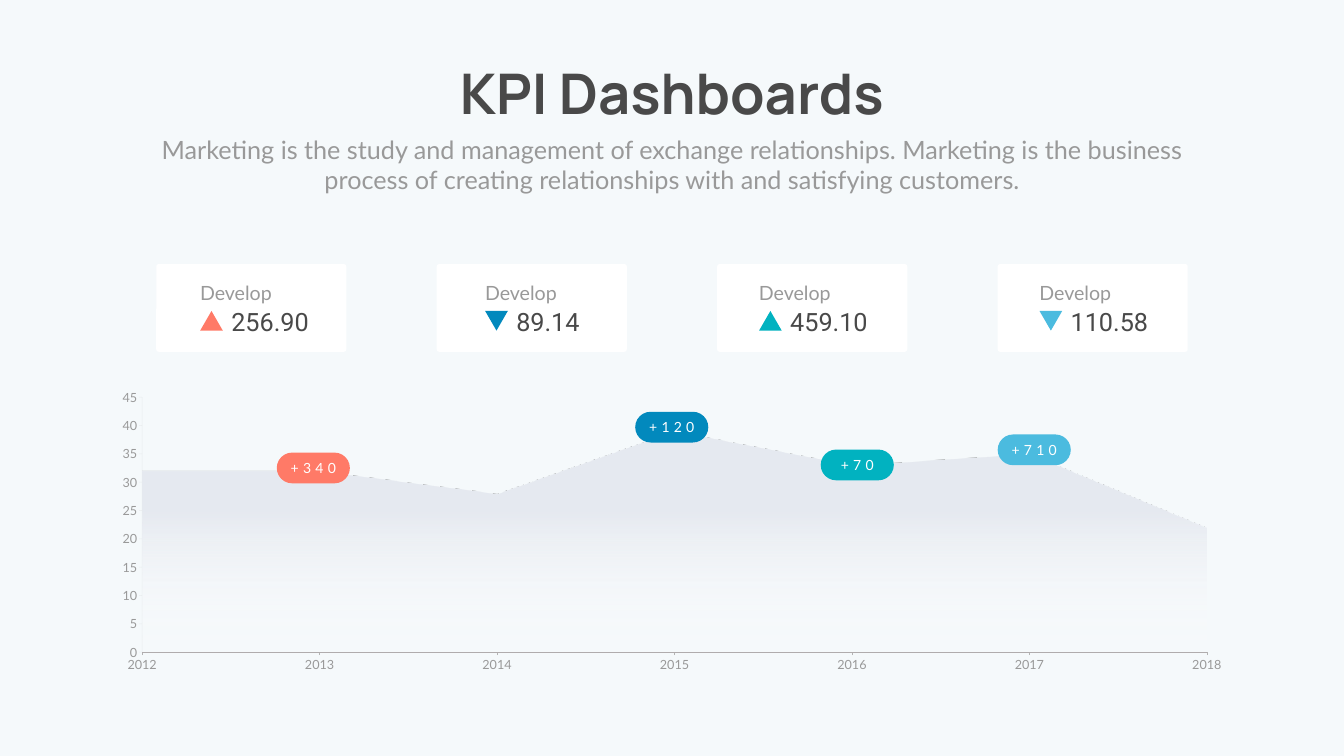
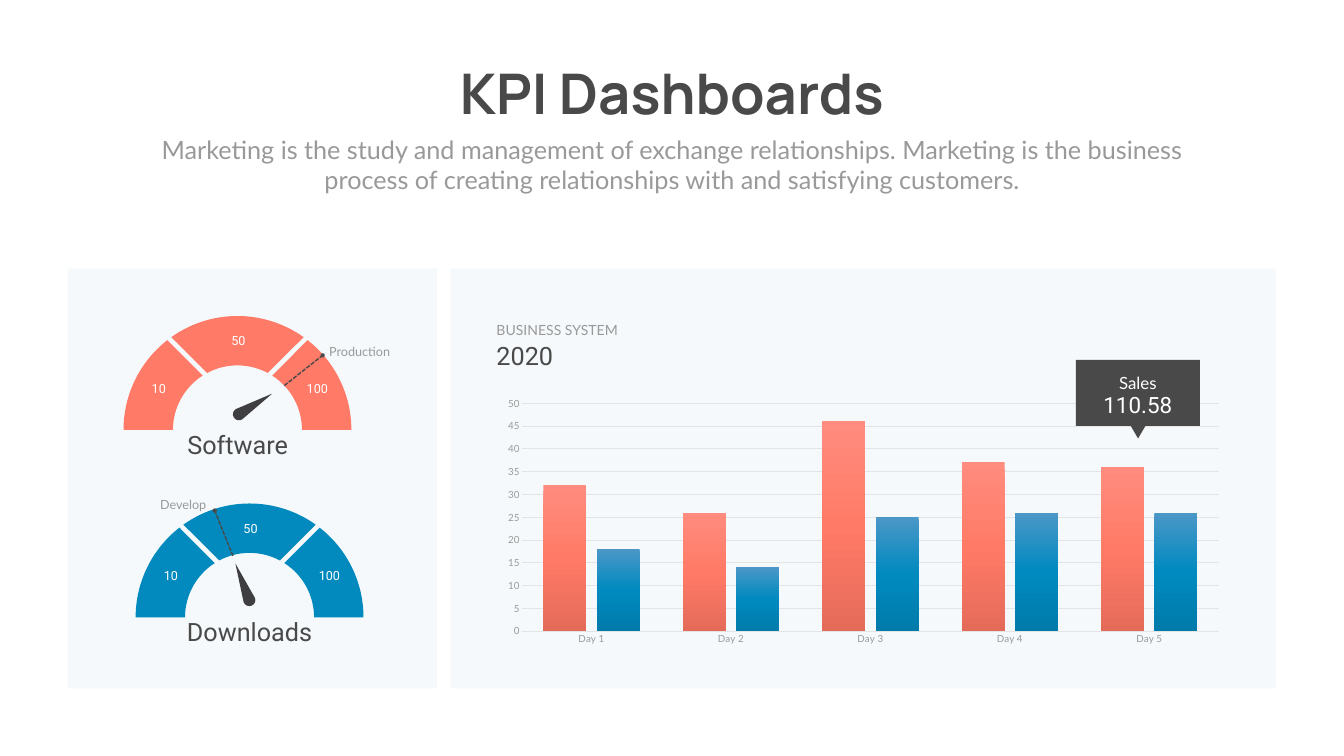
from math import cos, radians, sin, tan

from lxml import etree
from pptx import Presentation
from pptx.chart.data import CategoryChartData
from pptx.dml.color import RGBColor
from pptx.enum.chart import XL_CHART_TYPE, XL_TICK_MARK
from pptx.enum.dml import MSO_LINE
from pptx.enum.shapes import MSO_CONNECTOR, MSO_SHAPE
from pptx.enum.text import MSO_AUTO_SIZE, PP_ALIGN
from pptx.oxml import parse_xml
from pptx.oxml.ns import nsdecls, qn
from pptx.util import Inches, Pt

DARK = RGBColor(0x49, 0x49, 0x49)
NEEDLE = RGBColor(0x3F, 0x3E, 0x40)
GREY = RGBColor(0x99, 0x99, 0x99)
AXIS = RGBColor(0x80, 0x80, 0x80)
BASELINE = RGBColor(0xB3, 0xB3, 0xB3)
GRID = RGBColor(0xE4, 0xE4, 0xE4)
PALE = RGBColor(0xF5, 0xF9, 0xFB)
WHITE = RGBColor(0xFF, 0xFF, 0xFF)
CORAL = RGBColor(0xFF, 0x7A, 0x67)
BLUE = RGBColor(0x02, 0x89, 0xBD)
TEAL = RGBColor(0x01, 0xB2, 0xC0)
SKY = RGBColor(0x4B, 0xBB, 0xDF)

LEFT, CENTER, RIGHT = PP_ALIGN.LEFT, PP_ALIGN.CENTER, PP_ALIGN.RIGHT
RECT, ROUND, TRIANGLE = MSO_SHAPE.RECTANGLE, MSO_SHAPE.ROUNDED_RECTANGLE, MSO_SHAPE.ISOSCELES_TRIANGLE
AREA, COLUMN = XL_CHART_TYPE.AREA, XL_CHART_TYPE.COLUMN_CLUSTERED
OUTSIDE, NO_TICK = XL_TICK_MARK.OUTSIDE, XL_TICK_MARK.NONE
FIT, STRAIGHT, DASH = MSO_AUTO_SIZE.SHAPE_TO_FIT_TEXT, MSO_CONNECTOR.STRAIGHT, MSO_LINE.SQUARE_DOT

TITLE = {"name": "Manrope", "size": Pt(80), "bold": True, "color": DARK}
LEAD = {"name": "Lato", "size": Pt(36), "color": GREY}
FIGURE = {"name": "Roboto", "size": Pt(36), "color": DARK}
CAPTION = {"name": "Lato", "size": Pt(28), "color": GREY}
SMALL = CAPTION | {"size": Pt(20)}
NOTE = CAPTION | {"size": Pt(18)}
AXIS_TEXT = CAPTION | {"size": Pt(14)}
PILL = {"name": "Lato", "size": Pt(20), "color": WHITE}
CALLOUT = PILL | {"size": Pt(24)}
CALLOUT_FIGURE = {"name": "Roboto", "size": Pt(32), "color": WHITE}
GAUGE_MARK = CALLOUT_FIGURE | {"size": Pt(18)}
TALL_LINE = Pt(40.8)


def assign(target, values):
    """Set each named value on the target."""
    for name, value in values.items():
        setattr(target, name, value)


def style_font(font, style):
    """Apply a text style to a font."""
    assign(font, {name: value for name, value in style.items() if name != "color"})
    font.color.rgb = style["color"]


def polar(centre, radius, angle):
    """Return the point at an angle in degrees, counted upwards."""
    return (centre[0] + radius * cos(radians(angle)), centre[1] - radius * sin(radians(angle)))


def curve(centre, radius, start, end):
    """Return the two controls and the end of a circular curve."""
    reach = 4 / 3 * tan(radians(end - start) / 4) * radius
    first, last = polar(centre, radius, start), polar(centre, radius, end)
    leave, arrive = polar((0, 0), reach, start + 90), polar((0, 0), reach, end - 90)
    return [(first[0] + leave[0], first[1] + leave[1]), (last[0] + arrive[0], last[1] + arrive[1]), last]


class Deck:
    """Hold the presentation, its shared style and the current slide."""

    def __init__(self):
        """Start a wide presentation."""
        self.deck = Presentation()
        assign(self.deck, {"slide_width": Inches(26.66), "slide_height": Inches(15)})
        self.slide = None

    def new_slide(self):
        """Add a blank slide and make it current."""
        self.slide = self.deck.slides.add_slide(self.deck.slide_layouts[6])

    def paint(self, shape, color):
        """Give a shape a flat fill without line or shadow."""
        shape.fill.solid()
        shape.fill.fore_color.rgb = color
        shape.line.fill.background()
        shape.shadow.inherit = False

    def shape(self, kind, box, color, corner=None, rotation=0):
        """Draw a preset shape."""
        shape = self.slide.shapes.add_shape(kind, *map(Inches, box))
        self.paint(shape, color)
        shape.rotation = rotation
        if corner is not None:
            shape.adjustments[0] = corner

    def outline(self, start, steps, color, rotation=0):
        """Draw a closed outline of lines (one point) and curves (three points)."""
        builder = self.slide.shapes.build_freeform(*map(Inches, start), scale=1.0)
        builder.add_line_segments([(Inches(x), Inches(y)) for step in steps for x, y in step])
        shape = builder.convert_to_shape()
        segments = iter(list(shape._element.iter(qn("a:lnTo"))))
        for step in steps:
            parts = [next(segments) for _ in step]
            if len(parts) == 3:
                bend = etree.Element(qn("a:cubicBezTo"))
                parts[0].addprevious(bend)
                for part in parts:
                    bend.append(part[0])
                    part.getparent().remove(part)
        self.paint(shape, color)
        shape.rotation = rotation

    def text(self, words, box, style, align=LEFT, spacing=None, wrap=True, tracking=None):
        """Place one paragraph of text."""
        frame = self.slide.shapes.add_textbox(*map(Inches, box)).text_frame
        assign(frame, {"word_wrap": wrap, "auto_size": FIT})
        paragraph = frame.paragraphs[0]
        assign(paragraph, {"alignment": align, "line_spacing": spacing})
        run = paragraph.add_run()
        run.text = words
        style_font(run.font, style)
        if tracking:
            run._r.get_or_add_rPr().set("spc", str(tracking * 100))

    def pointer(self, start, end):
        """Draw a dashed line with a round end."""
        line = self.slide.shapes.add_connector(STRAIGHT, *map(Inches, start + end))
        line.line.color.rgb = DARK
        assign(line.line, {"width": Pt(2), "dash_style": DASH})
        properties = line._element.spPr
        etree.SubElement(properties.find(qn("a:ln")), qn("a:tailEnd"), type="oval")
        etree.SubElement(properties, qn("a:effectLst"))

    def heading(self):
        """Place the shared title and lead text."""
        self.text("KPI Dashboards", (8.67, 1.12, 9.32, 1.45), TITLE, CENTER, wrap=False)
        self.text("Marketing is the study and management of exchange relationships. "
                  "Marketing is the business process of creating relationships with "
                  "and satisfying customers.", (2.92, 2.61, 20.82, 1.31), LEAD, CENTER)

    def chart(self, kind, box, categories, rows, style, top, tick, plot):
        """Add a chart with a fixed scale and a plot area given on the slide."""
        data = CategoryChartData()
        data.categories = categories
        for number, values in enumerate(rows, 1):
            data.add_series(f"Series {number}", values)
        chart = self.slide.shapes.add_chart(kind, *map(Inches, box), data).chart
        assign(chart, {"has_legend": False, "has_title": False})
        style_font(chart.font, style)
        assign(chart.value_axis, {"minimum_scale": 0, "maximum_scale": top, "major_unit": 5,
                                  "has_major_gridlines": False})
        for axis in (chart.category_axis, chart.value_axis):
            assign(axis, {"major_tick_mark": tick, "minor_tick_mark": NO_TICK})
            style_font(axis.tick_labels.font, style)
        area = chart._chartSpace.chart.plotArea
        for old in area.findall(qn("c:layout")):
            area.remove(old)
        left, upper, width, height = box
        shares = ((plot[0] - left) / width, (plot[1] - upper) / height, plot[2] / width, plot[3] / height)
        sizes = "".join(f'<c:{name} val="{share:.4f}"/>' for name, share in zip("xywh", shares))
        area.insert(0, parse_xml(
            f'<c:layout {nsdecls("c")}><c:manualLayout><c:layoutTarget val="inner"/>'
            f'<c:xMode val="edge"/><c:yMode val="edge"/>{sizes}</c:manualLayout></c:layout>'))
        return chart

    def rule(self, line, color):
        """Style a thin chart line."""
        line.color.rgb = color
        line.width = Pt(0.75)

    def gradient(self, series, stops):
        """Fill a series downwards with (position, colour, opacity) stops."""
        fill = series.format.fill
        fill.gradient()
        fill.gradient_angle = 270
        stop_list = series._element.find(".//" + qn("a:gsLst"))
        for old in list(stop_list):
            stop_list.remove(old)
        for position, color, opacity in stops:
            stop = etree.SubElement(stop_list, qn("a:gs"), pos=str(position * 1000))
            tint = etree.SubElement(stop, qn("a:srgbClr"), val=color)
            if opacity < 100:
                etree.SubElement(tint, qn("a:alpha"), val=str(opacity * 1000))

    def card(self, left, indent, value, color, rising):
        """Draw one indicator card."""
        inner = left + indent
        self.shape(ROUND, (left, 5.24, 3.77, 1.74), WHITE, 0.028)
        self.shape(TRIANGLE, (inner + 0.1, 6.17, 0.45, 0.39), color, rotation=0 if rising else 180)
        self.text("Develop", (inner, 5.42, 2.04, 0.62), CAPTION, spacing=TALL_LINE)
        self.text(value, (inner + 0.62, 6.03, 2.04, 0.71), FIGURE)

    def pill(self, left, top, change, color):
        """Draw one change marker."""
        self.shape(ROUND, (left, top, 1.45, 0.61), color, 0.5)
        width = 0.19 + 0.25 * len(change)
        self.text(change, (left + (1.45 - width) / 2, top + 0.09, width, 0.44), PILL, CENTER,
                  wrap=False, tracking=6)

    def needle(self, x, y, rotation):
        """Draw a needle centred at x, y."""
        hub = (x - 0.27, y + 0.14)
        self.outline((x + 0.39, y - 0.27), [[polar(hub, 0.12, 122)], curve(hub, 0.12, 122, 212),
                                            curve(hub, 0.12, 212, 302)], NEEDLE, rotation)

    def gauge(self, x, y, color, needle, pointer):
        """Draw a three-part gauge centred at x, y with its needle."""
        centre = (x, y)
        for outer, inner in (((180, 128), (122.6, 180)), ((52, 0), (0, 57.4)),
                             ((125.5, 90, 54.5), (62, 118))):
            steps = [curve(centre, 2.26, *span) for span in zip(outer, outer[1:])]
            steps += [[polar(centre, 1.28, inner[0])], curve(centre, 1.28, *inner)]
            self.outline(polar(centre, 2.26, outer[0]), steps, color)
        self.needle(*needle)
        self.pointer(*pointer)
        for mark, dx, dy, width in (("10", -1.85, -1.03, 0.58), ("50", -0.27, -1.97, 0.58),
                                    ("100", 1.1, -1.03, 0.97)):
            self.text(mark, (x + dx, y + dy, width, 0.4), GAUGE_MARK, CENTER)


def build_trend(deck):
    """Build the slide with cards above the yearly trend."""
    deck.new_slide()
    deck.shape(RECT, (0, 0, 26.66, 15), PALE)
    years = [str(year) for year in range(2012, 2019)]
    empty = [None] * len(years)
    trend = deck.chart(AREA, (1.98, 7.61, 22.71, 5.85), years,
                       [[32, 32, 28, 39, 33, 35, 22], empty, empty], NOTE, 45, OUTSIDE,
                       (2.82, 7.88, 21.12, 5.06))
    main_series, *others = trend.plots[0].series
    deck.gradient(main_series, [(35, "E5E9F0", 100), (100, "FFFFFF", 0)])
    for series, color in zip(others, (CORAL, SKY)):
        series.format.fill.solid()
        series.format.fill.fore_color.rgb = color
    axis = trend.value_axis
    deck.rule(trend.category_axis.format.line, BASELINE)
    deck.rule(axis.format.line, AXIS)
    tint = axis._element.find(f"{qn('c:spPr')}//{qn('a:srgbClr')}")
    etree.SubElement(tint, qn("a:alpha"), val="10000")
    axis._element.find(qn("c:crossBetween")).set("val", "midCat")
    deck.heading()
    cards = ((0.77, "256.90", CORAL, True), (0.86, "89.14", BLUE, False),
             (0.73, "459.10", TEAL, True), (0.73, "110.58", SKY, False))
    for column, card in enumerate(cards):
        deck.card(3.1 + 16.69 / 3 * column, *card)
    for marker in ((5.49, 8.98, "+340", CORAL), (12.6, 8.17, "+120", BLUE),
                   (16.28, 8.92, "+70", TEAL), (19.79, 8.62, "+710", SKY)):
        deck.pill(*marker)


def build_gauges(deck):
    """Build the slide with gauges beside the daily columns."""
    deck.new_slide()
    deck.shape(ROUND, (1.34, 5.33, 7.33, 8.33), PALE, 0)
    deck.heading()
    deck.shape(ROUND, (8.94, 5.33, 16.37, 8.33), PALE, 0)
    daily = deck.chart(COLUMN, (9.78, 7.78, 14.69, 5.13), [f"Day {day}" for day in range(1, 6)],
                       [[32, 26, 46, 37, 36], [18, 14, 25, 26, 26]], AXIS_TEXT, 50, NO_TICK,
                       (10.35, 8, 13.83, 4.52))
    plot = daily.plots[0]
    assign(plot, {"gap_width": 100, "overlap": -24, "vary_by_categories": False})
    for series, colors in zip(plot.series, (("FF8C7E", "FF7A67", "E56B59"),
                                            ("4B97C7", "008ABF", "007BAA"))):
        deck.gradient(series, [(50 * i, color, 100) for i, color in enumerate(colors)])
    daily.value_axis.has_major_gridlines = True
    for line in (daily.category_axis.format.line, daily.value_axis.major_gridlines.format.line):
        deck.rule(line, GRID)
    daily.value_axis.format.line.fill.background()
    deck.text("2020", (9.75, 6.71, 2.04, 0.71), FIGURE)
    deck.text("BUSINESS SYSTEM", (9.75, 6.09, 3.6, 0.59), SMALL, spacing=TALL_LINE)
    deck.shape(RECT, (21.34, 7.14, 2.46, 1.31), DARK, rotation=180)
    deck.shape(TRIANGLE, (22.33, 8.28, 0.49, 0.42), DARK, rotation=180)
    deck.text("Sales", (21.66, 7.17, 1.82, 0.6), CALLOUT, CENTER, TALL_LINE)
    deck.text("110.58", (21.66, 7.72, 1.82, 0.64), CALLOUT_FIGURE, CENTER)
    deck.text("Production", (6.43, 6.5, 1.55, 0.59), NOTE, spacing=TALL_LINE)
    deck.gauge(4.71, 8.53, CORAL, (5.01, 8.08, 0), ((5.64, 7.65), (6.4, 7.05)))
    deck.text("Software", (3.38, 8.46, 2.67, 0.71), FIGURE, CENTER)
    deck.text("Develop", (2.64, 9.54, 1.55, 0.59), NOTE, RIGHT, TALL_LINE)
    deck.gauge(4.95, 12.25, BLUE, (4.87, 11.62, 281), ((4.62, 11.03), (4.26, 10.13)))
    deck.text("Downloads", (3.12, 12.18, 3.66, 0.71), FIGURE, CENTER)


def main():
    """Build and save both slides."""
    deck = Deck()
    build_trend(deck)
    build_gauges(deck)
    deck.deck.save("out.pptx")


if __name__ == "__main__":
    main()
